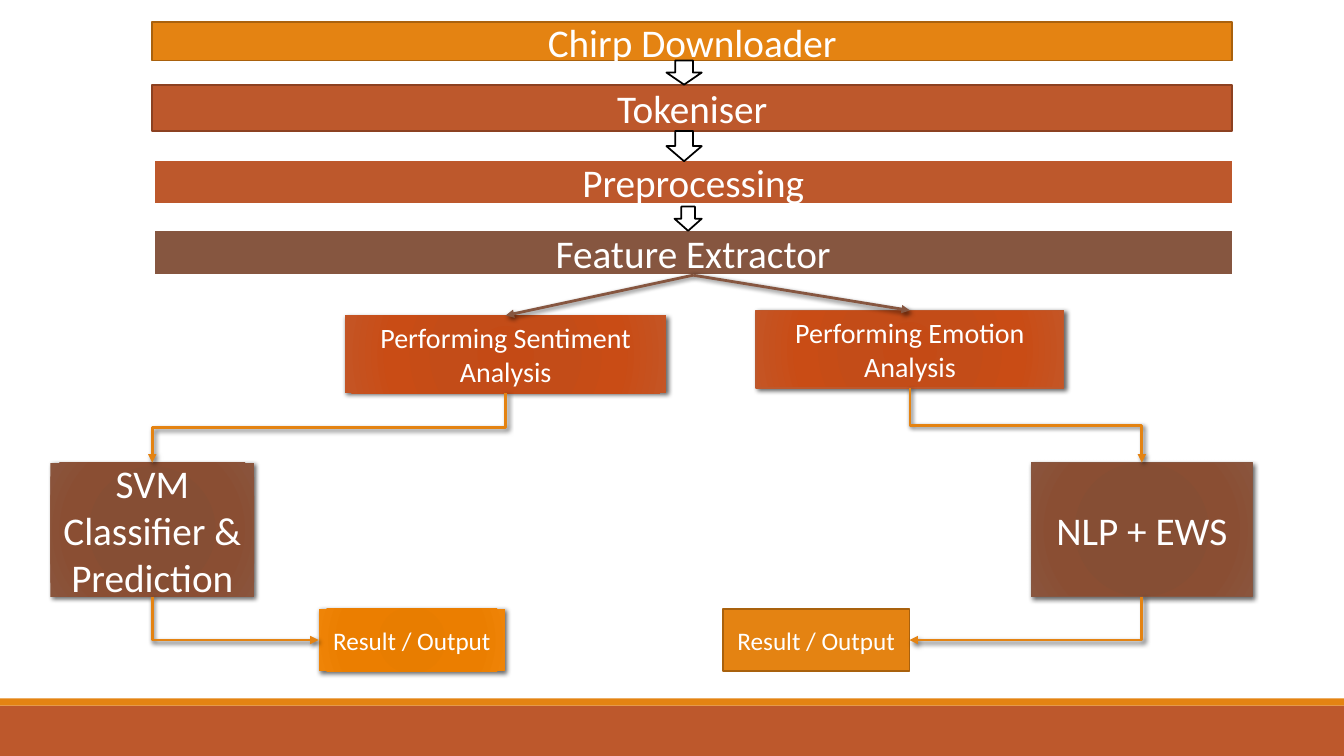
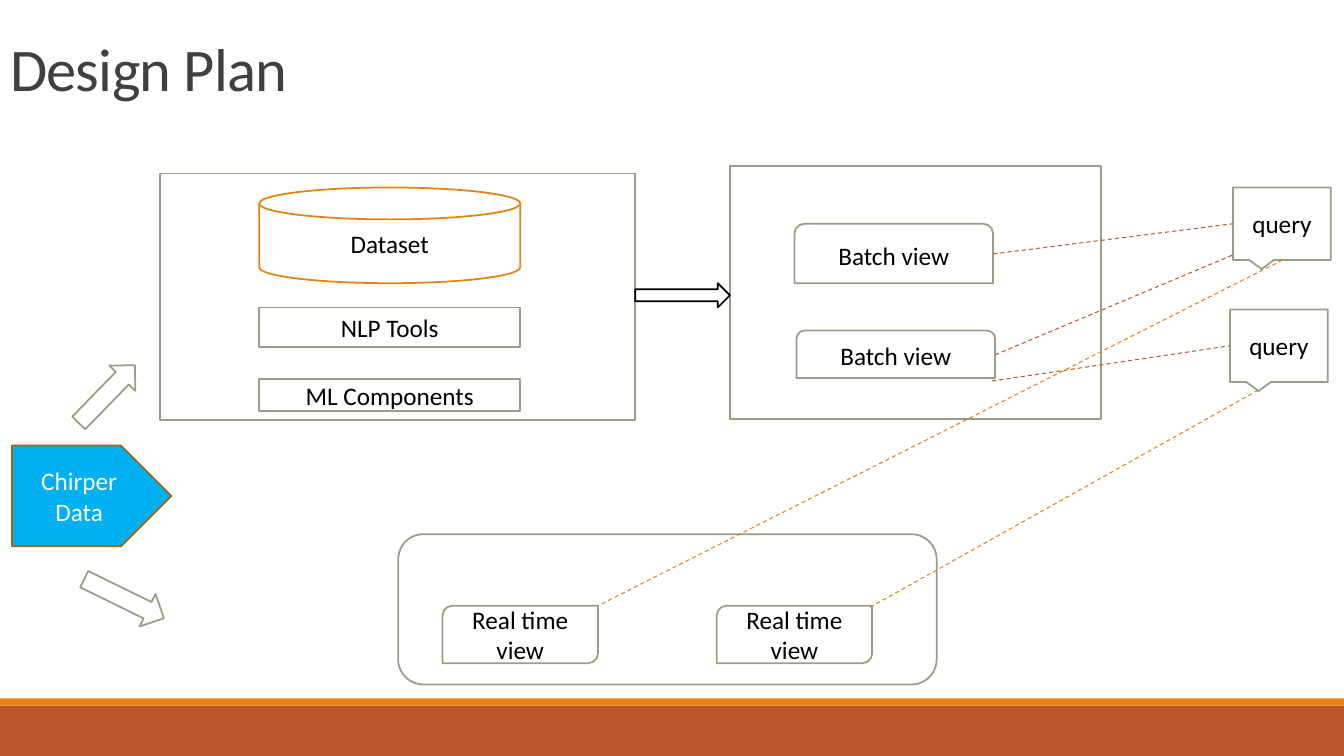
from dataclasses import dataclass
from typing import NamedTuple, Optional, Union

from lxml.etree import SubElement
from pptx import Presentation
from pptx.dml.color import RGBColor
from pptx.enum.dml import MSO_LINE
from pptx.enum.shapes import MSO_CONNECTOR, MSO_SHAPE
from pptx.enum.text import MSO_ANCHOR, MSO_AUTO_SIZE, PP_ALIGN
from pptx.oxml.ns import qn
from pptx.util import Inches, Pt

SLIDE_WIDTH = Inches(13.33)
SLIDE_HEIGHT = Inches(7.5)
ROWS = 75
COLUMNS = 133.3
CELL = SLIDE_HEIGHT / ROWS

FONT = "Calibri"
WHITE = RGBColor(0xFF, 0xFF, 0xFF)
BLACK = RGBColor(0x00, 0x00, 0x00)
CHARCOAL = RGBColor(0x40, 0x40, 0x40)
ORANGE = RGBColor(0xE4, 0x83, 0x12)
DARK_ORANGE = RGBColor(0xA9, 0x61, 0x0D)
RUST = RGBColor(0xBD, 0x58, 0x2C)
DARK_RUST = RGBColor(0x8C, 0x41, 0x21)
BROWN = RGBColor(0x86, 0x56, 0x40)
SAGE = RGBColor(0x94, 0xA0, 0x88)
SKY = RGBColor(0x00, 0xB0, 0xF0)

STOPS = (0, 34, 70, 100)
BROWN_GLOW = ("874C32", "864E34", "8A4E33", "8A553D")
RUST_GLOW = ("C44A15", "C34C18", "C94C15", "C45525")
ORANGE_GLOW = ("E57B00", "E87D00", "EB7E00", "EF8407")

TOP, LEFT, BOTTOM, RIGHT = range(4)


class Point(NamedTuple):
    column: float
    row: float


class Area(NamedTuple):
    column: float
    row: float
    columns: float
    rows: float


@dataclass
class Box:
    area: Area
    text: str = ""
    fill: Union[RGBColor, tuple] = WHITE
    line: Optional[RGBColor] = SAGE
    line_width: float = 1.25
    geometry: MSO_SHAPE = MSO_SHAPE.RECTANGLE
    size: float = 18
    color: RGBColor = BLACK
    rotation: float = 0


@dataclass
class Dash:
    start: Point
    end: Point
    color: RGBColor


def cells(count: float) -> int:
    return round(count * CELL)


def add_glow(shape, colors: tuple) -> None:
    gradient = shape.element.makeelement(qn("a:gradFill"), {"rotWithShape": "1"})
    stops = SubElement(gradient, qn("a:gsLst"))
    for position, color in zip(STOPS, colors):
        stop = SubElement(stops, qn("a:gs"), pos=str(position * 1000))
        SubElement(stop, qn("a:srgbClr"), val=color)
    circle = SubElement(gradient, qn("a:path"), {"path": "circle"})
    SubElement(circle, qn("a:fillToRect"), {side: "100000" for side in "ltrb"})
    shape.element.spPr.find(qn("a:prstGeom")).addnext(gradient)


def add_shadow(effects) -> None:
    shadow = SubElement(effects, qn("a:outerShdw"), blurRad=str(Pt(3.5)),
                        dist=str(Pt(2)), dir="2700000", algn="br", rotWithShape="0")
    color = SubElement(shadow, qn("a:srgbClr"), val="000000")
    SubElement(color, qn("a:alpha"), val="60000")


def draw_box(slide, box: Box):
    shape = slide.shapes.add_shape(box.geometry, *map(cells, box.area))
    shape.rotation = box.rotation
    shape.shadow.inherit = False
    if box.line is None:
        shape.line.fill.background()
    else:
        shape.line.color.rgb = box.line
        shape.line.width = Pt(box.line_width)
    if isinstance(box.fill, RGBColor):
        shape.fill.solid()
        shape.fill.fore_color.rgb = box.fill
    else:
        add_glow(shape, box.fill)
        add_shadow(shape.element.spPr.find(qn("a:effectLst")))
    if box.text:
        frame = shape.text_frame
        frame.text = box.text
        frame.word_wrap = True
        frame.vertical_anchor = MSO_ANCHOR.MIDDLE
        paragraph = frame.paragraphs[0]
        paragraph.alignment = PP_ALIGN.CENTER
        paragraph.font.name = FONT
        paragraph.font.size = Pt(box.size)
        paragraph.font.color.rgb = box.color
    return shape


def style_connector(connector, color: RGBColor, width: float, arrow: bool) -> None:
    connector.line.color.rgb = color
    connector.line.width = Pt(width)
    effects = SubElement(connector.element.spPr, qn("a:effectLst"))
    if arrow:
        SubElement(connector.line._get_or_add_ln(), qn("a:tailEnd"), type="triangle")
        add_shadow(effects)


def draw_arrow(slide, source, target, target_site: int, color: RGBColor,
               kind: MSO_CONNECTOR):
    connector = slide.shapes.add_connector(kind, 0, 0, 0, 0)
    connector.begin_connect(source, BOTTOM)
    connector.end_connect(target, target_site)
    style_connector(connector, color, 2, True)
    return connector


def draw_elbow(slide, source, target, target_site: int = TOP) -> None:
    connector = draw_arrow(slide, source, target, target_site, ORANGE, MSO_CONNECTOR.ELBOW)
    across = connector.end_x - connector.begin_x
    down = connector.end_y - connector.begin_y
    middle = (connector.begin_x + connector.end_x) // 2
    center = (connector.begin_y + connector.end_y) // 2
    transform = connector.element.spPr.find(qn("a:xfrm"))
    for flip in ("flipH", "flipV"):
        transform.attrib.pop(flip, None)
    connector.left = middle - down // 2
    connector.top = center - abs(across) // 2
    connector.width, connector.height = down, abs(across)
    transform.set("rot", str((90 if across < 0 else 270) * 60000))
    if across > 0:
        transform.set("flipH", "1")
    if target_site != TOP:
        connector.element.spPr.find(qn("a:prstGeom")).set("prst", "bentConnector2")


def draw_dash(slide, dash: Dash) -> None:
    connector = slide.shapes.add_connector(
        MSO_CONNECTOR.STRAIGHT, *map(cells, dash.start + dash.end))
    style_connector(connector, dash.color, 0.75, False)
    connector.line.dash_style = MSO_LINE.DASH


def add_master_bands(presentation, slide) -> None:
    tree = presentation.slide_master.shapes.element
    bands = (Box(Area(0, 70, COLUMNS, 5), fill=RUST, line=None),
             Box(Area(0, 69.3, COLUMNS, 0.7), fill=ORANGE, line=None))
    for index, band in enumerate(bands):
        shape = draw_box(slide, band)
        shape.element.nvSpPr.cNvPr.set("id", str(100 + index))
        tree.insert(2 + index, shape.element)


def set_title(slide, text: str) -> None:
    title = slide.shapes.title
    title.left, title.top, title.width, title.height = map(cells, Area(0, 3.1, 47.1, 7.7))
    frame = title.text_frame
    frame.text = text
    frame.word_wrap = True
    frame.auto_size = MSO_AUTO_SIZE.NONE
    frame.vertical_anchor = MSO_ANCHOR.BOTTOM
    paragraph = frame.paragraphs[0]
    paragraph.alignment = PP_ALIGN.LEFT
    paragraph.line_spacing = 0.85
    paragraph.font.name = FONT
    paragraph.font.size = Pt(43.2)
    paragraph.font.color.rgb = CHARCOAL
    title.element.find(".//" + qn("a:defRPr")).set("spc", "-50")


def build_pipeline(slide) -> None:
    def block(text: str, area: Area, fill, line=None, line_width=1.25, size=28):
        return draw_box(slide, Box(area, text, fill, line, line_width,
                                   size=size, color=WHITE))

    block("Chirp Downloader", Area(15.1, 2.2, 107.1, 3.8), ORANGE, DARK_ORANGE)
    block("Tokeniser", Area(15.1, 8.4, 107.1, 4.6), RUST, DARK_RUST)
    block("Preprocessing", Area(15.2, 15.8, 107.1, 4.5), RUST, WHITE, 2)
    extractor = block("Feature Extractor", Area(15.2, 22.8, 107.1, 4.5), BROWN, WHITE, 2)

    for area in (Area(66.1, 6, 3.5, 2.4), Area(66.1, 13, 3.5, 3), Area(66.9, 20.5, 2.7, 2.4)):
        draw_box(slide, Box(area, line=BLACK, geometry=MSO_SHAPE.DOWN_ARROW))

    sentiment = block("Performing Sentiment Analysis", Area(34.2, 31.3, 31.9, 7.7),
                      RUST_GLOW, size=20)
    emotion = block("Performing Emotion Analysis", Area(75, 30.8, 30.5, 7.7),
                    RUST_GLOW, RUST, 1, size=20)
    classifier = block("SVM Classifier & Prediction", Area(5, 45.9, 20.2, 13.3), BROWN_GLOW)
    language = block("NLP + EWS", Area(102.3, 45.9, 21.9, 13.3), BROWN_GLOW, BROWN, 1)
    left_result = block("Result / Output", Area(31.6, 60.4, 18.5, 6.2), ORANGE_GLOW, size=18)
    right_result = block("Result / Output", Area(71.7, 60.4, 18.5, 6.2), ORANGE,
                         DARK_ORANGE, size=18)

    branches = ((sentiment, classifier, left_result, LEFT),
                (emotion, language, right_result, RIGHT))
    for analysis, model, result, result_site in branches:
        draw_arrow(slide, extractor, analysis, TOP, BROWN, MSO_CONNECTOR.STRAIGHT)
        draw_elbow(slide, analysis, model)
        draw_elbow(slide, model, result, result_site)


def build_design_plan(slide) -> None:
    set_title(slide, "Design Plan")
    callout = MSO_SHAPE.RECTANGULAR_CALLOUT
    diagonal = MSO_SHAPE.ROUND_2_DIAG_RECTANGLE
    tab = MSO_SHAPE.ROUND_2_SAME_RECTANGLE
    arrow = MSO_SHAPE.RIGHT_ARROW
    boxes = (
        Box(Area(15.9, 17.2, 47.1, 24.5)),
        Box(Area(72.4, 16.5, 36.8, 25.1)),
        Box(Area(122.3, 18.6, 9.7, 7.2), "query", geometry=callout),
        Box(Area(122, 30.7, 9.7, 7.2), "query", geometry=callout),
        Box(Area(39.5, 53, 53.4, 14.9), geometry=MSO_SHAPE.ROUNDED_RECTANGLE),
        Box(Area(43.9, 60.1, 15.4, 5.7), "Real time view", geometry=diagonal),
        Box(Area(71.1, 60.1, 15.4, 5.7), "Real time view", geometry=diagonal),
        Box(Area(25.7, 18.6, 25.9, 9.5), "Dataset", line=ORANGE,
            geometry=MSO_SHAPE.FLOWCHART_MAGNETIC_DISK),
        Box(Area(25.7, 30.5, 25.9, 3.9), "NLP Tools"),
        Box(Area(25.7, 37.6, 25.9, 3.2), "ML Components"),
        Box(Area(78.8, 22.2, 19.7, 5.9), "Batch view", geometry=tab),
        Box(Area(79, 32.8, 19.7, 4.7), "Batch view", geometry=tab),
        Box(Area(1.2, 44.2, 15.8, 10), "Chirper Data", SKY, DARK_ORANGE,
            geometry=MSO_SHAPE.PENTAGON, color=WHITE),
        Box(Area(6.6, 37.3, 8, 3.6), geometry=arrow, rotation=314.2),
        Box(Area(7.9, 57.6, 8.8, 3.6), geometry=arrow, rotation=26.1),
        Box(Area(63, 28.1, 9.4, 2.4), line=BLACK, geometry=arrow),
    )
    for box in boxes:
        draw_box(slide, box)

    dashes = (
        Dash(Point(98.5, 25.2), Point(122.3, 22.2), RUST),
        Dash(Point(98.7, 35.2), Point(122.5, 25.2), RUST),
        Dash(Point(98.4, 37.8), Point(122, 34.3), RUST),
        Dash(Point(127.2, 25.8), Point(59.3, 60.1), ORANGE),
        Dash(Point(124.8, 38.7), Point(86.2, 60.3), ORANGE),
    )
    for dash in dashes:
        draw_dash(slide, dash)


def main() -> None:
    presentation = Presentation()
    presentation.slide_width = SLIDE_WIDTH
    presentation.slide_height = SLIDE_HEIGHT
    layouts = presentation.slide_layouts
    pipeline = presentation.slides.add_slide(layouts.get_by_name("Blank"))
    add_master_bands(presentation, pipeline)
    build_pipeline(pipeline)
    build_design_plan(presentation.slides.add_slide(layouts.get_by_name("Title Only")))
    presentation.save("out.pptx")


if __name__ == "__main__":
    main()
